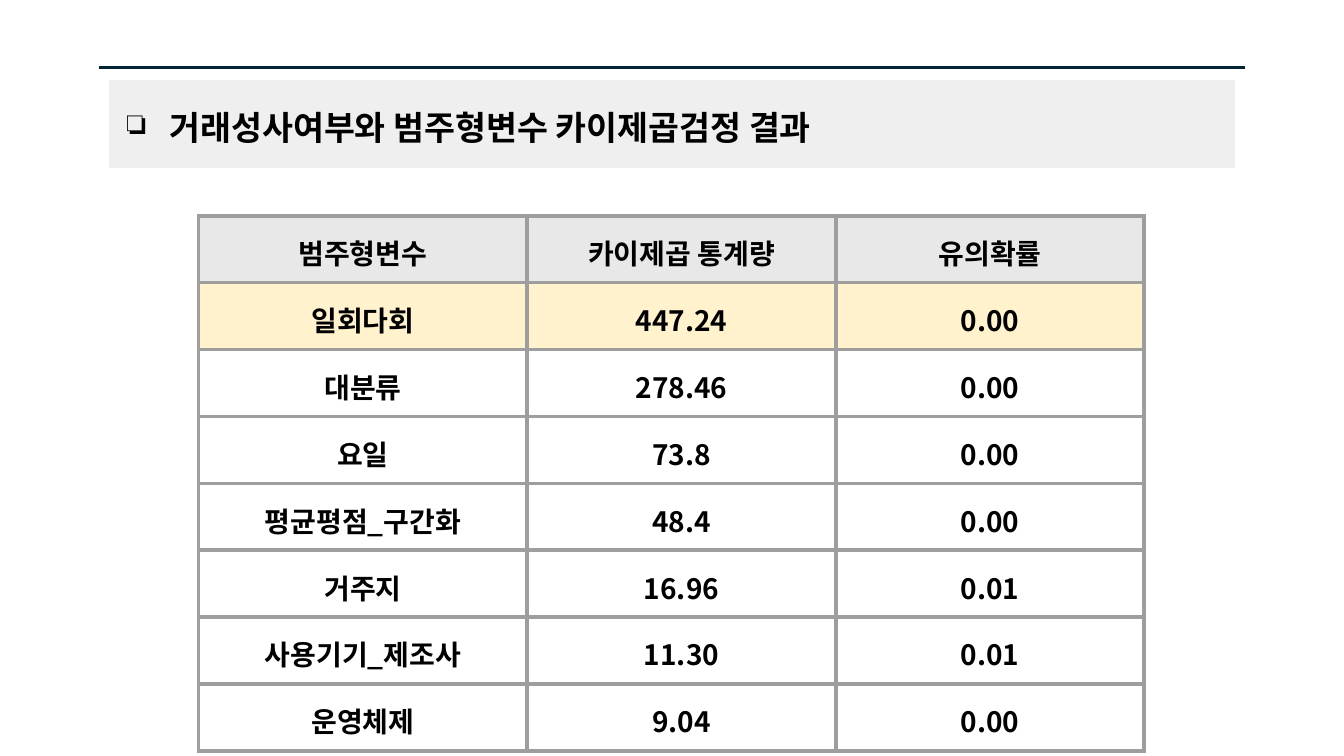
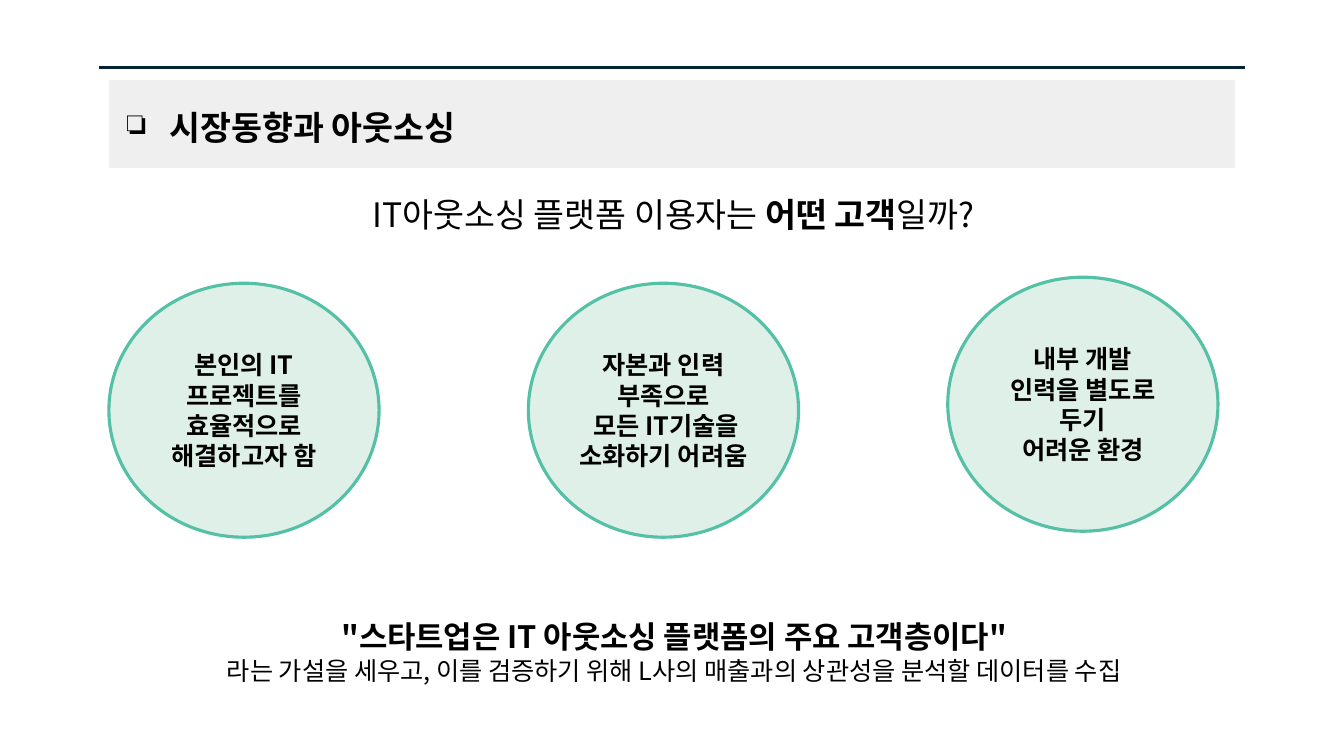
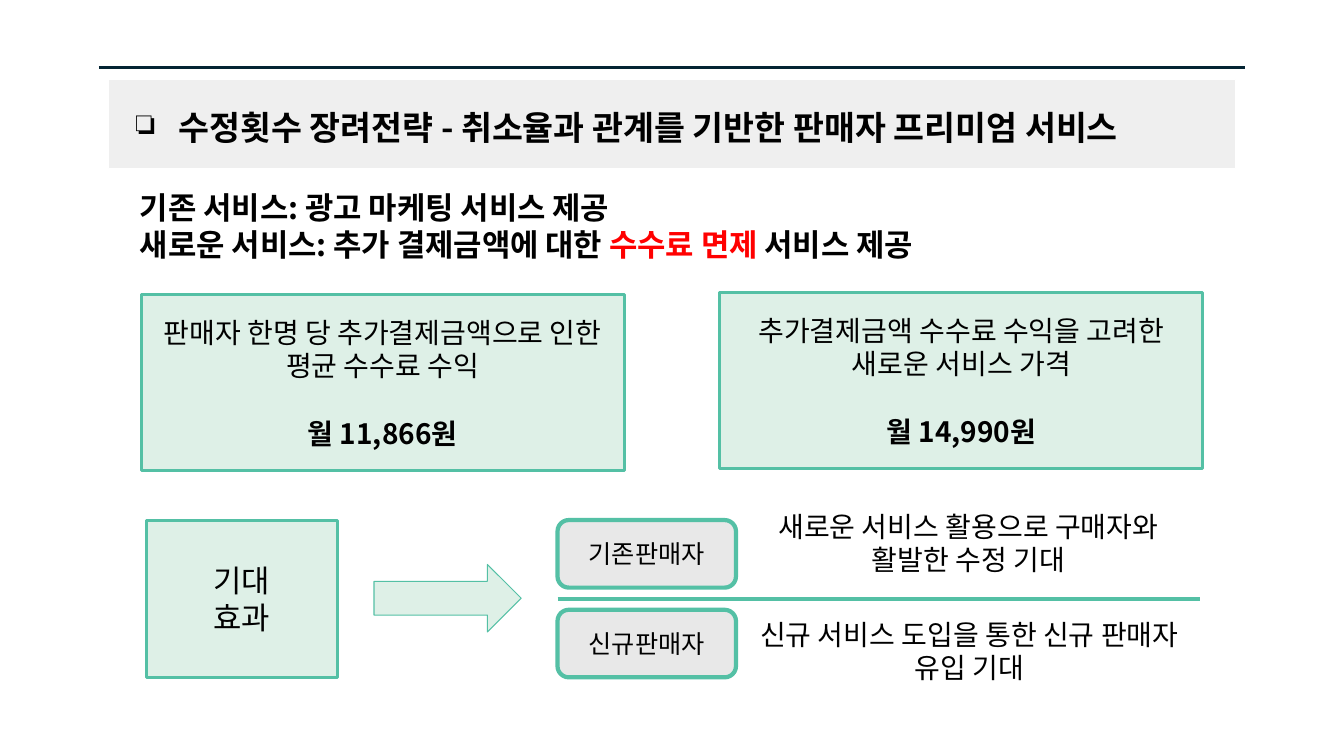
"""Three slides on outsourcing platform customers and seller services."""
from lxml import etree
from pptx import Presentation, util as u
from pptx.dml.color import RGBColor
from pptx.enum import shapes, text
from pptx.oxml import ns

PX = 9144
FONT = "Noto Sans CJK KR"
BLACK = RGBColor(0, 0, 0)
WHITE = RGBColor(255, 255, 255)
RED = RGBColor(255, 0, 0)
NAVY = RGBColor(0x04, 0x24, 0x33)
BAND_GRAY = RGBColor(0xEF, 0xEF, 0xEF)
LIGHT_GRAY = RGBColor(0xE8, 0xE8, 0xE8)
BORDER_GRAY = RGBColor(0x9E, 0x9E, 0x9E)
CREAM = RGBColor(0xFF, 0xF2, 0xCC)
MINT = RGBColor(0xDE, 0xF0, 0xE7)
GREEN = RGBColor(0x54, 0xC0, 0xA5)

CENTER, LEFT = text.PP_ALIGN.CENTER, text.PP_ALIGN.LEFT
TOP, MIDDLE = text.MSO_ANCHOR.TOP, text.MSO_ANCHOR.MIDDLE
KIND = shapes.MSO_SHAPE

CHI_TITLE = "거래성사여부와 범주형변수 카이제곱검정 결과"
CHI_ROWS = [
    ("범주형변수", "카이제곱 통계량", "유의확률"),
    ("일회다회", "447.24", "0.00"),
    ("대분류", "278.46", "0.00"),
    ("요일", "73.8", "0.00"),
    ("평균평점_구간화", "48.4", "0.00"),
    ("거주지", "16.96", "0.01"),
    ("사용기기_제조사", "11.30", "0.01"),
    ("운영체제", "9.04", "0.00"),
]
CHI_FILLS = {0: LIGHT_GRAY, 1: CREAM}
CHI_COLUMNS = (326, 306, 306)
CHI_ROW_HEIGHT = 53

MARKET_TITLE = "시장동향과 아웃소싱"
QUESTION = [["IT아웃소싱 플랫폼 이용자는 ", ("어떤 고객", {"bold": True}), "일까?"]]
CUSTOMERS = [
    (281, ["본인의 IT프로젝트를 효율적으로 해결하고자 함"]),
    (281, ["자본과 인력 부족으로", " 모든 IT기술을 소화하기 어려움"]),
    (275, ["내부 개발 인력을 별도로 두기", "어려운 환경"]),
]
HYPOTHESIS = [
    [('"스타트업은 IT 아웃소싱 플랫폼의 주요 고객층이다"', {"bold": True, "size": 22})],
    "라는 가설을 세우고, 이를 검증하기 위해 L사의 매출과의 상관성을 분석할 데이터를 수집",
]

SERVICE_TITLE = "수정횟수 장려전략 - 취소율과 관계를 기반한 판매자 프리미엄 서비스"
SERVICES = [
    "기존 서비스: 광고 마케팅 서비스 제공",
    ["새로운 서비스: 추가 결제금액에 대한 ", ("수수료 면제", {"color": RED}), " 서비스 제공"],
]
PRICE_CARDS = [
    ((140, 292), ["판매자 한명 당 추가결제금액으로 인한 평균 수수료 수익"], "월 11,866원"),
    ((714, 290), ["추가결제금액 수수료 수익을 고려한", "새로운 서비스 가격"], "월 14,990원"),
]
SELLERS = [
    ("기존판매자", (743, 495, 435, 91), TOP, "새로운 서비스 활용으로 구매자와 활발한 수정 기대"),
    ("신규판매자", (731, 588, 461, 115), MIDDLE, "신규 서비스 도입을 통한 신규 판매자 유입 기대"),
]


def scale(*lengths):
    return [length * PX for length in lengths]


def write(frame, paragraphs, size, bold=False, align=CENTER, anchor=MIDDLE, spacing=None):
    frame.word_wrap = True
    frame.auto_size = text.MSO_AUTO_SIZE.NONE
    frame.vertical_anchor = anchor
    frame.margin_left = frame.margin_right = frame.margin_top = frame.margin_bottom = 10 * PX
    for index, runs in enumerate(paragraphs):
        paragraph = frame.add_paragraph() if index else frame.paragraphs[0]
        paragraph.alignment = align
        paragraph.line_spacing = spacing
        for part in [runs] if isinstance(runs, str) else runs:
            words, style = (part, {}) if isinstance(part, str) else part
            run = paragraph.add_run()
            run.text = words
            run.font.name = FONT
            run.font.size = u.Pt(style.get("size", size))
            run.font.bold = style.get("bold", bold)
            run.font.color.rgb = style.get("color", BLACK)
            latin = run.font._element.find(ns.qn("a:latin"))
            latin.addnext(latin.makeelement(ns.qn("a:ea"), {"typeface": FONT}))


def add_box(slide, kind, at, fill, line, width):
    shape = slide.shapes.add_shape(kind, *scale(*at))
    shape.shadow.inherit = False
    shape.fill.solid()
    shape.fill.fore_color.rgb = fill
    shape.line.color.rgb = line
    shape.line.width = u.Pt(width)
    return shape


def add_text(slide, at, paragraphs, size, **style):
    write(slide.shapes.add_textbox(*scale(*at)).text_frame, paragraphs, size, **style)


def add_rule(slide, start, end, y, color, width):
    rule = slide.shapes.add_connector(shapes.MSO_CONNECTOR.STRAIGHT, *scale(start, y, end, y))
    rule.line.color.rgb = color
    rule.line.width = u.Pt(width)
    etree.SubElement(rule._element.spPr, ns.qn("a:effectLst"))


def add_bullet(paragraph, symbol):
    properties = paragraph._p.get_or_add_pPr()
    properties.set("marL", str(50 * PX))
    properties.set("indent", str(-42 * PX))
    color = etree.SubElement(properties, ns.qn("a:buClr"))
    etree.SubElement(color, ns.qn("a:srgbClr"), val=str(BLACK))
    etree.SubElement(properties, ns.qn("a:buChar"), char=symbol)


def add_titled_slide(presentation, heading, left=108, width=754):
    slide = presentation.slides.add_slide(presentation.slide_layouts[5])
    title = slide.shapes.title
    title.left, title.top, title.width, title.height = scale(left, 96, width, 54)
    add_bullet(title.text_frame.paragraphs[0], "❏")
    write(title.text_frame, [heading], 24, bold=True, align=LEFT, anchor=TOP)
    band = add_box(slide, KIND.RECTANGLE, (108, 79, 1117, 88), BAND_GRAY, WHITE, 0.75)
    title._element.addprevious(band._element)
    add_rule(slide, 98, 1235, 67, NAVY, 1.5)
    return slide


def add_borders(cell):
    properties = cell._tc.get_or_add_tcPr()
    for index, side in enumerate(("lnL", "lnR", "lnT", "lnB")):
        border = properties.makeelement(ns.qn("a:" + side), {"w": str(u.Pt(3))})
        fill = etree.SubElement(border, ns.qn("a:solidFill"))
        etree.SubElement(fill, ns.qn("a:srgbClr"), val=str(BORDER_GRAY))
        properties.insert(index, border)


def build_chi_square(presentation):
    slide = add_titled_slide(presentation, CHI_TITLE)
    size = (sum(CHI_COLUMNS), len(CHI_ROWS) * CHI_ROW_HEIGHT)
    table = slide.shapes.add_table(len(CHI_ROWS), len(CHI_COLUMNS), *scale(197, 214, *size)).table
    for column, width in zip(table.columns, CHI_COLUMNS):
        column.width = width * PX
    for row_index, values in enumerate(CHI_ROWS):
        for column_index, value in enumerate(values):
            cell = table.cell(row_index, column_index)
            cell.fill.solid()
            cell.fill.fore_color.rgb = CHI_FILLS.get(row_index, WHITE)
            add_borders(cell)
            write(cell.text_frame, [value], 20, bold=True, spacing=1.15)
            cell.vertical_anchor = MIDDLE
            cell.margin_left = cell.margin_right = cell.margin_top = cell.margin_bottom = 10 * PX


def build_market(presentation):
    slide = add_titled_slide(presentation, MARKET_TITLE)
    add_text(slide, (115, 182, 1106, 68), QUESTION, 24, anchor=TOP)
    for index, (top, lines) in enumerate(CUSTOMERS):
        circle = add_box(slide, KIND.OVAL, (108 + index * 416, top, 268, 252), MINT, GREEN, 2.25)
        write(circle.text_frame, lines, 18, bold=True)
    add_text(slide, (194, 603, 949, 88), HYPOTHESIS, 18, anchor=TOP)


def build_service(presentation):
    slide = add_titled_slide(presentation, SERVICE_TITLE, left=117, width=1094)
    add_text(slide, (129, 177, 1153, 88), SERVICES, 22, bold=True, align=LEFT, anchor=TOP)
    for corner, lines, price in PRICE_CARDS:
        card = add_box(slide, KIND.RECTANGLE, (*corner, 479, 175), MINT, GREEN, 2.25)
        write(card.text_frame, [*lines, [(price, {"bold": True})]], 20)
        card.text_frame.paragraphs[-1].space_before = u.Pt(24)
    effect = add_box(slide, KIND.RECTANGLE, (145, 516, 190, 156), MINT, GREEN, 2.25)
    write(effect.text_frame, ["기대", "효과"], 22)
    add_box(slide, KIND.RIGHT_ARROW, (371, 560, 146, 67), MINT, GREEN, 0.75)
    add_rule(slide, 553, 1190, 594, GREEN, 3)
    for index, (seller, at, anchor, outcome) in enumerate(SELLERS):
        label_at = (553, 516 + index * 89, 177, 67)
        label = add_box(slide, KIND.ROUNDED_RECTANGLE, label_at, LIGHT_GRAY, GREEN, 3)
        write(label.text_frame, [seller], 18)
        add_text(slide, at, [outcome], 20, anchor=anchor)


def main():
    presentation = Presentation()
    presentation.slide_width, presentation.slide_height = scale(1333, 750)
    build_chi_square(presentation)
    build_market(presentation)
    build_service(presentation)
    presentation.save("out.pptx")


if __name__ == "__main__":
    main()
